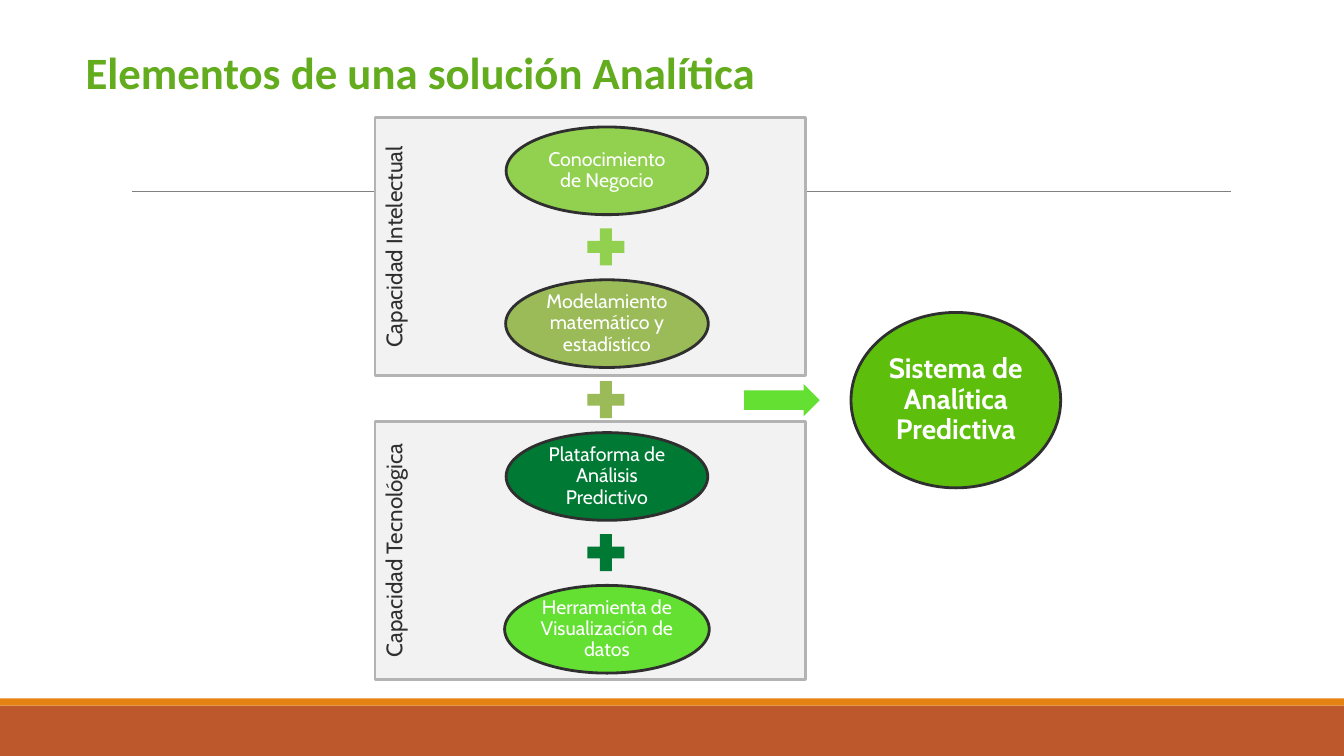
import pptx
import pptx.util
import pptx.dml.color
import pptx.enum.shapes
import pptx.enum.text
import pptx.oxml.ns
from lxml import etree

Inches = pptx.util.Inches
Pt = pptx.util.Pt
SHAPE = pptx.enum.shapes.MSO_SHAPE
ANCHOR = pptx.enum.text.MSO_ANCHOR
ALIGN = pptx.enum.text.PP_ALIGN
DARK = "2F2F2F"

deck = pptx.Presentation()
deck.slide_width = Inches(13.33)
deck.slide_height = Inches(7.5)
page = deck.slides.add_slide(deck.slide_layouts[6])


def color(hex_code):
    return pptx.dml.color.RGBColor.from_string(hex_code)


def add_figure(kind, left, top, width, height, fill, outline=None, text="",
               size=14, ink="FFFFFF", bold=False, inset=0.02):
    figure = page.shapes.add_shape(kind, Inches(left), Inches(top), Inches(width), Inches(height))
    figure.shadow.inherit = False
    figure.fill.solid()
    figure.fill.fore_color.rgb = color(fill)
    if outline:
        figure.line.color.rgb = color(outline)
        figure.line.width = Pt(2)
    else:
        figure.line.fill.background()
    if text:
        frame = figure.text_frame
        frame.text = text
        frame.word_wrap = True
        frame.vertical_anchor = ANCHOR.MIDDLE
        frame.margin_left = frame.margin_right = Inches(inset)
        frame.margin_top = frame.margin_bottom = Inches(inset)
        para = frame.paragraphs[0]
        para.alignment = ALIGN.CENTER
        para.line_spacing = 0.9
        font = para.runs[0].font
        font.name = "Cabin"
        font.size = Pt(size)
        font.bold = bold
        font.color.rgb = color(ink)
    return figure


# Footer bands and header rule
add_figure(SHAPE.RECTANGLE, 0, 7, 13.33, 0.5, "BD582C")
add_figure(SHAPE.RECTANGLE, 0, 6.93, 13.33, 0.07, "E48312")
rule = page.shapes.add_connector(pptx.enum.shapes.MSO_CONNECTOR.STRAIGHT,
                                 Inches(1.31), Inches(1.9), Inches(12.21), Inches(1.9))
rule.line.color.rgb = color("808080")
rule.line.width = Pt(0.5)
etree.SubElement(rule.element.spPr, pptx.oxml.ns.qn("a:effectLst"))

# Capability panels, with the label running up the left side
for top, label in [(4.18, "Capacidad Tecnológica"), (1.17, "Capacidad Intelectual")]:
    panel = add_figure(SHAPE.RECTANGLE, 3.72, top, 4.27, 2.56, "F2F2F2", "B3B3B3",
                       label, size=16, ink=DARK, inset=0.05)
    panel.text_frame.margin_left = panel.text_frame.margin_right = Inches(0.1)
    panel.text_frame.vertical_anchor = ANCHOR.TOP
    panel.text_frame.paragraphs[0].line_spacing = 1.0
    panel.text_frame._txBody.bodyPr.set("vert", "vert270")

# Column of elements joined by plus signs
elements = [
    ("Conocimiento de Negocio", "92D050", 2.0),
    ("Modelamiento matemático y estadístico", "9BBB59", 2.01),
    ("Plataforma de Análisis Predictivo", "007934", 2.0),
    ("Herramienta de Visualización de datos", "64E032", 2.03),
]
center, first_top, step = 6.02, 1.26, 1.516
for index, (name, fill, width) in enumerate(elements):
    top = first_top + index * step
    add_figure(SHAPE.OVAL, center - width / 2, top, width, 0.87, fill, DARK, name)
    if index < len(elements) - 1:
        add_figure(SHAPE.MATH_PLUS, center - 0.26, top + 0.94, 0.5, 0.5, fill)

# Arrow to the resulting system
arrow = add_figure(SHAPE.RIGHT_ARROW, 7.38, 3.81, 0.75, 0.32, "64E032")
arrow.adjustments[0] = 0.6
arrow.adjustments[1] = 0.5
add_figure(SHAPE.OVAL, 8.44, 3.1, 2.08, 1.74, "5DBF0C", DARK,
           "Sistema de Analítica Predictiva", size=20, bold=True, inset=0.03)

# Title
title = page.shapes.add_textbox(Inches(0.75), Inches(0.39), Inches(6.91), Inches(0.64))
title.text_frame.text = "Elementos de una solución Analítica"
title.text_frame.word_wrap = False
title.text_frame.auto_size = pptx.enum.text.MSO_AUTO_SIZE.SHAPE_TO_FIT_TEXT
span = title.text_frame.paragraphs[0].runs[0]
span.font.name = "Calibri"
span.font.size = Pt(32)
span.font.bold = True
span.font.color.rgb = color("62AC1E")

deck.save("out.pptx")
